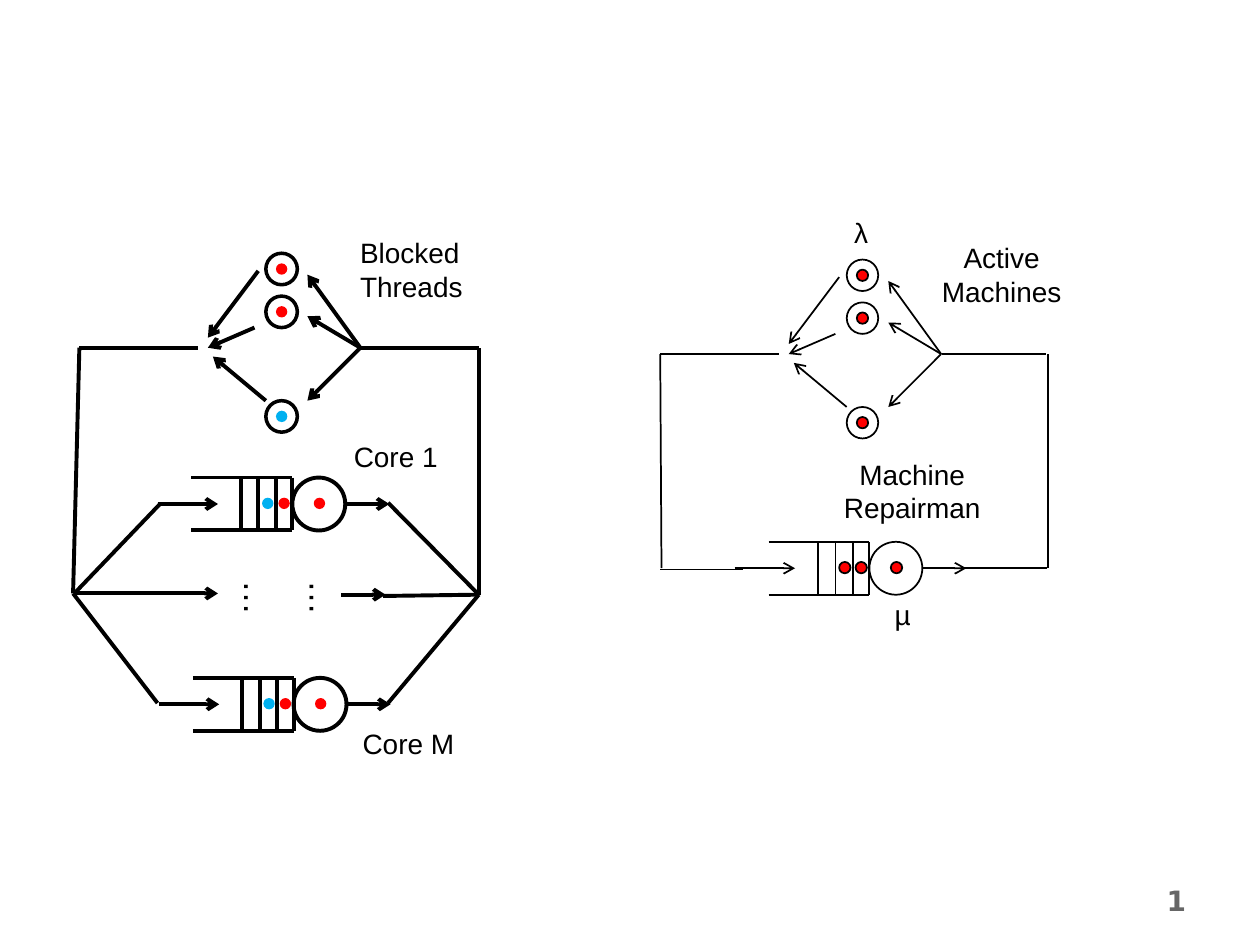
from dataclasses import dataclass
from typing import Optional

from lxml.etree import SubElement
from pptx import Presentation
from pptx.dml.color import RGBColor
from pptx.enum.shapes import MSO_CONNECTOR, MSO_SHAPE
from pptx.enum.text import MSO_AUTO_SIZE as AUTO, PP_ALIGN as ALIGN
from pptx.oxml.ns import qn
from pptx.util import Inches, Pt

BLACK, RED, BLUE, GREY = "000000", "FF0000", "00B0F0", "666666"
RING, SERVER, DOT = 0.25, 0.42, 0.09


@dataclass
class Style:
    wire: float
    ring: float
    dot_line: float


@dataclass
class Wire:
    x1: float
    y1: float
    x2: float
    y2: float
    arrow: bool = False


@dataclass
class Station:
    """Parallel rings between a fork on the right and a join on the left."""
    dx: float
    dy: float
    colors: tuple[str, str, str]


@dataclass
class Queue:
    x: float
    y: float
    colors: tuple[str, str, str]


@dataclass
class Label:
    text: str
    x: float
    y: float
    w: float
    h: float
    align: ALIGN = ALIGN.LEFT
    size: int = 16
    rotation: int = 0


THICK, THIN = Style(2.25, 2, 0), Style(1, 1, 1)

STATION_RINGS = [2.01, 2.35, 3.18]
STATION_WIRES = [
    Wire(1.57, 2.76, 0.63, 2.76),
    Wire(2.11, 3.18, 1.69, 2.83, True),
    Wire(2.05, 2.15, 1.65, 2.68, True),
    Wire(2.02, 2.6, 1.65, 2.76, True),
] + [Wire(2.86, 2.76, 2.44, y, True) for y in (2.18, 2.51, 3.18)]

THREAD_WIRES = [
    Wire(0.63, 2.76, 0.58, 4.71),
    Wire(3.8, 2.76, 2.86, 2.76),
    Wire(3.8, 4.72, 3.8, 2.76),
    Wire(0.58, 4.71, 1.25, 5.58),
    Wire(0.59, 4.71, 1.27, 4),
    Wire(0.59, 4.71, 1.73, 4.71, True),
    Wire(2.71, 4.72, 3.06, 4.72, True),
    Wire(3.04, 4.73, 3.8, 4.72),
    Wire(3.08, 5.58, 3.8, 4.72),
    Wire(3.8, 4.72, 3.08, 3.99),
]
MACHINE_WIRES = [
    Wire(5.24, 2.81, 5.25, 4.51),
    Wire(8.3, 2.81, 7.48, 2.81),
    Wire(8.32, 4.51, 8.32, 2.81),
    Wire(5.24, 4.52, 5.9, 4.52),
    Wire(7.65, 4.51, 8.31, 4.51),
]

MODELS = [
    (THICK, THREAD_WIRES, Station(0, 0, (RED, RED, BLUE)),
     [Queue(1.52, 3.79, (BLUE, RED, RED)), Queue(1.53, 5.38, (BLUE, RED, RED))]),
    (THIN, MACHINE_WIRES, Station(4.61, 0.05, (RED, RED, RED)),
     [Queue(6.1, 4.3, (RED, RED, RED))]),
]

LABELS = [
    Label("Blocked\nThreads", 2.76, 1.82, 1.02, 0.64),
    Label("Core 1", 2.71, 3.44, 0.88, 0.37),
    Label("Core M", 2.78, 5.72, 0.94, 0.37),
    Label("…", 1.81, 4.53, 0.48, 0.43, size=20, rotation=90),
    Label("…", 2.33, 4.53, 0.48, 0.43, size=20, rotation=90),
    Label("Active\nMachines", 7.37, 1.86, 1.16, 0.64, ALIGN.CENTER),
    Label("Machine\nRepairman", 6.59, 3.58, 1.3, 0.64, ALIGN.CENTER),
    Label("µ", 7, 4.69, 0.33, 0.37, ALIGN.CENTER),
    Label("λ", 6.68, 1.66, 0.31, 0.37, ALIGN.CENTER),
]


def rgb(color: str) -> RGBColor:
    return RGBColor.from_string(color)


def draw_wire(shapes, wire: Wire, width: float, dx: float = 0, dy: float = 0) -> None:
    c = shapes.add_connector(
        MSO_CONNECTOR.STRAIGHT, Inches(wire.x1 + dx), Inches(wire.y1 + dy),
        Inches(wire.x2 + dx), Inches(wire.y2 + dy))
    c.line.color.rgb = rgb(BLACK)
    c.line.width = Pt(width)
    if wire.arrow:
        SubElement(c.line._get_or_add_ln(), qn("a:tailEnd"), type="arrow")
    SubElement(c._element.spPr, qn("a:effectLst"))


def draw_circle(shapes, x: float, y: float, size: float, line: float,
                fill: Optional[str] = None) -> None:
    sp = shapes.add_shape(MSO_SHAPE.OVAL, Inches(x), Inches(y), Inches(size), Inches(size))
    sp.shadow.inherit = False
    if fill:
        sp.fill.solid()
        sp.fill.fore_color.rgb = rgb(fill)
    else:
        sp.fill.background()
    if line:
        sp.line.color.rgb = rgb(BLACK)
        sp.line.width = Pt(line)
    else:
        sp.line.fill.background()


def draw_station(shapes, station: Station, style: Style) -> None:
    for wire in STATION_WIRES:
        draw_wire(shapes, wire, style.wire, station.dx, station.dy)
    for top, color in zip(STATION_RINGS, station.colors):
        x, y = 2.11 + station.dx, top + station.dy
        draw_circle(shapes, x, y, RING, style.ring)
        draw_circle(shapes, x + 0.08, y + 0.08, DOT, style.dot_line, color)


def draw_queue(shapes, queue: Queue, style: Style) -> None:
    """Two rails, four slot bars, a server circle and the arrows in and out."""
    end, mid = 0.8, SERVER / 2
    wires = [Wire(0, y, end, y) for y in (0, SERVER)]
    wires += [Wire(x, 0, x, SERVER) for x in (0.39, 0.53, 0.67, end)]
    wires += [Wire(-0.27, mid, 0.21, mid, True),
              Wire(end + SERVER, mid, end + SERVER + 0.35, mid, True)]
    for wire in wires:
        draw_wire(shapes, wire, style.wire, queue.x, queue.y)
    draw_circle(shapes, queue.x + end, queue.y, SERVER, style.wire)
    for x, color in zip((0.56, 0.69, 0.97), queue.colors):
        draw_circle(shapes, queue.x + x, queue.y + 0.16, DOT, style.dot_line, color)


def draw_label(shapes, label: Label, font: str = "Arial", color: str = BLACK,
               bold: bool = False):
    sp = shapes.add_textbox(Inches(label.x), Inches(label.y), Inches(label.w), Inches(label.h))
    sp.rotation = label.rotation
    tf = sp.text_frame
    tf.word_wrap = False
    tf.auto_size = AUTO.SHAPE_TO_FIT_TEXT
    p = tf.paragraphs[0]
    p.text = label.text
    p.alignment = label.align
    for r in p.runs:
        for name, value in {"name": font, "size": Pt(label.size), "bold": bold}.items():
            setattr(r.font, name, value)
        r.font.color.rgb = rgb(color)
    return sp


def draw_slide_number(shapes) -> None:
    label = Label("1", 8.74, 6.96, 1.19, 0.52, ALIGN.CENTER)
    sp = draw_label(shapes, label, "DejaVu Sans", GREY, True)
    sp.text_frame.word_wrap = True
    sp.text_frame.auto_size = AUTO.NONE
    field = sp.text_frame.paragraphs[0].runs[0]._r
    field.tag = qn("a:fld")
    field.set("id", "{B6F15528-21DE-4FAA-801E-634DDDAF4B2B}")
    field.set("type", "slidenum")


def main() -> None:
    prs = Presentation()
    prs.slide_width, prs.slide_height = Inches(10), Inches(7.5)
    shapes = prs.slides.add_slide(prs.slide_layouts[6]).shapes
    for style, wires, station, queues in MODELS:
        for wire in wires:
            draw_wire(shapes, wire, style.wire)
        draw_station(shapes, station, style)
        for queue in queues:
            draw_queue(shapes, queue, style)
    for label in LABELS:
        draw_label(shapes, label)
    draw_slide_number(shapes)
    prs.save("out.pptx")


if __name__ == "__main__":
    main()
